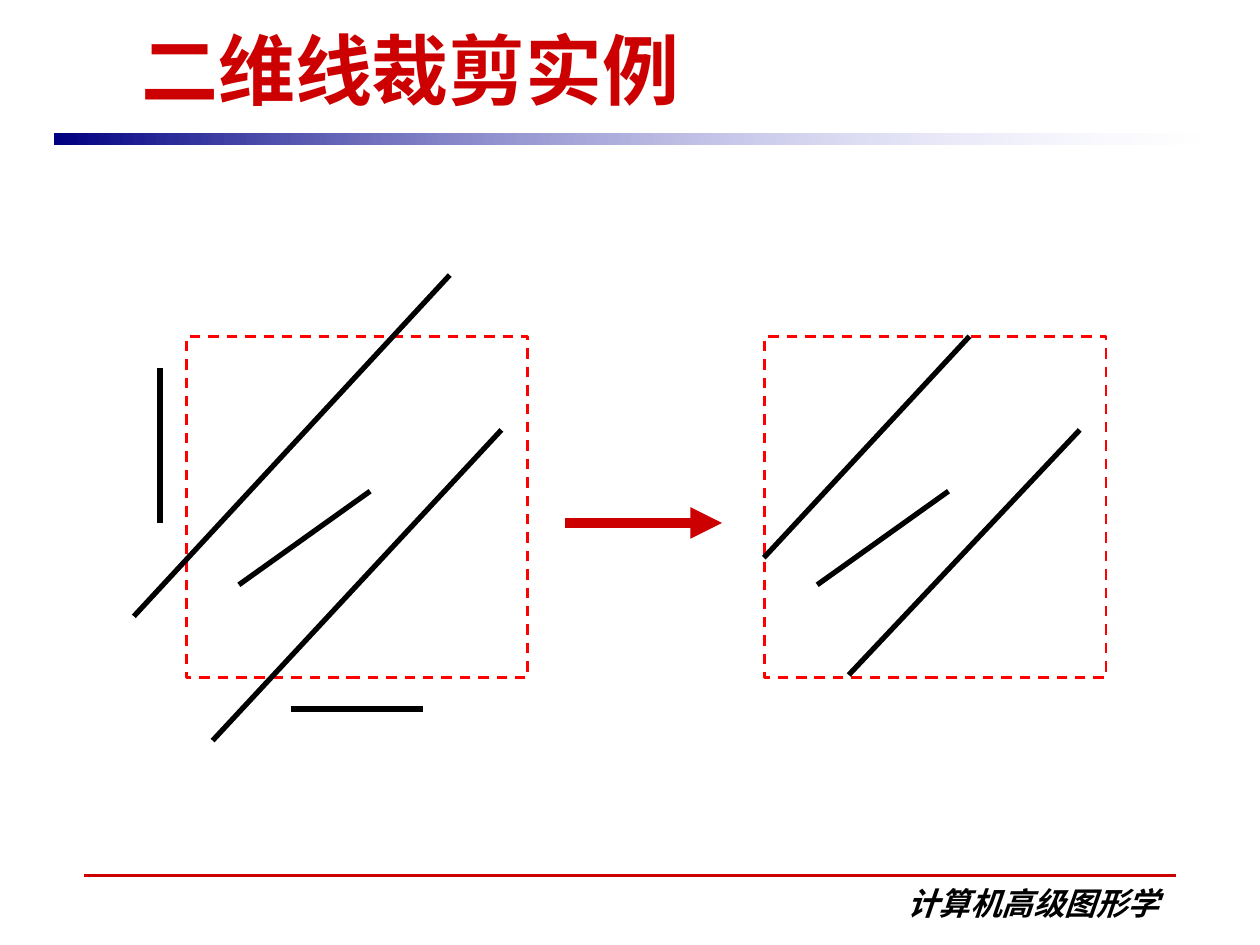
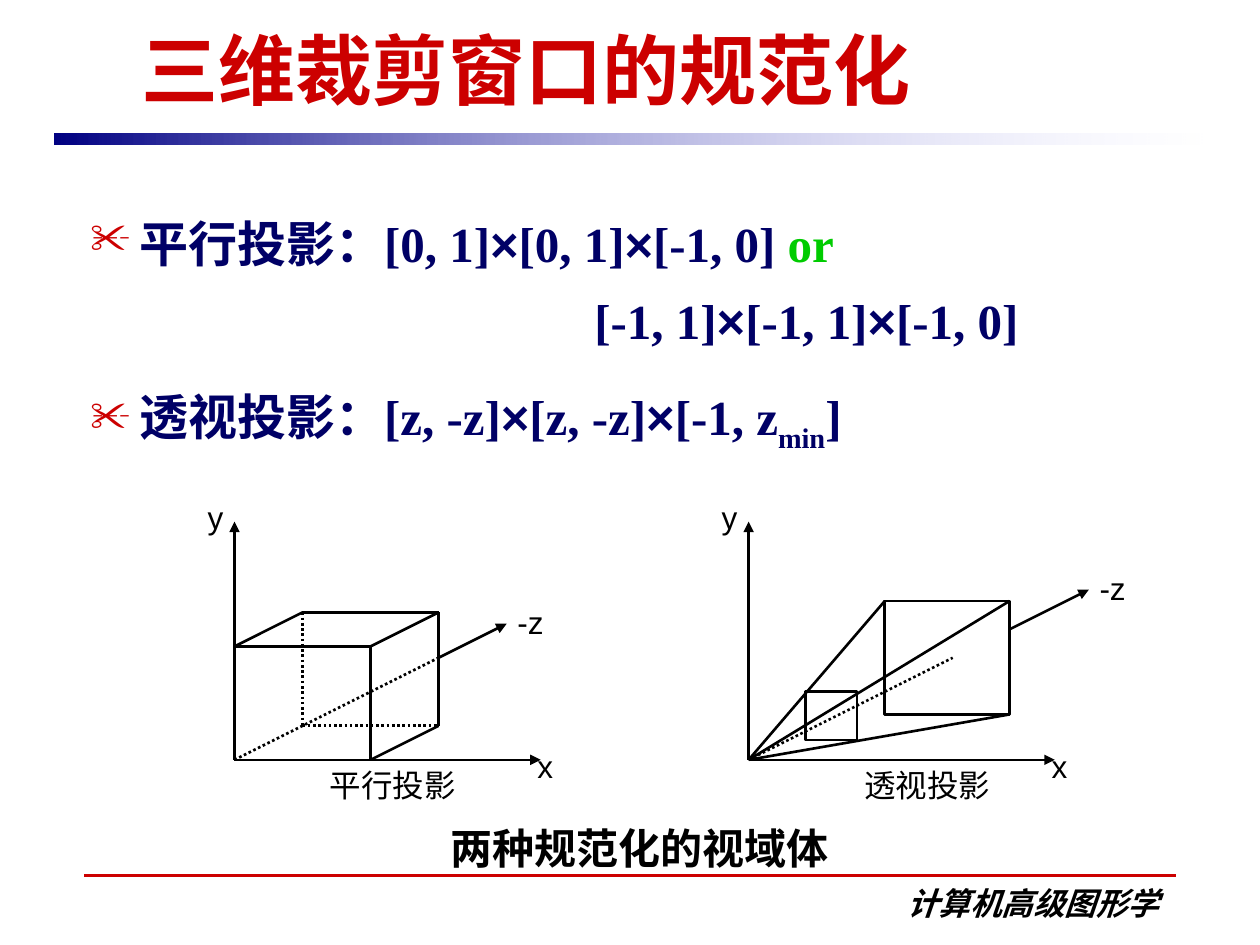
from pptx import Presentation
from pptx.dml.color import RGBColor
from pptx.enum.dml import MSO_LINE
from pptx.enum.shapes import MSO_CONNECTOR, MSO_SHAPE
from pptx.enum.text import MSO_ANCHOR, MSO_AUTO_SIZE, PP_ALIGN
from pptx.oxml.ns import qn
from pptx.util import Pt
from lxml.etree import SubElement

COLORS = {"red": "CC0000", "window": "FF0000", "black": "000000",
          "navy": "000066", "green": "00CC00",
          "band_start": "000082", "band_end": "CCCCFF"}
LATIN, SANS, CJK = "Times New Roman", "Arial", "Noto Sans CJK SC"
GRID = 6.48  # points per unit of the projection drawings


def rgb(name):
    return RGBColor.from_string(COLORS[name])


class Deck:
    def __init__(self):
        self.prs = Presentation()
        self.prs.slide_width, self.prs.slide_height = Pt(720), Pt(540)
        self.slide = None

    def new_slide(self, heading):
        self.slide = self.prs.slides.add_slide(self.prs.slide_layouts[5])
        self.line((48.2, 500.4), (671.8, 500.4), 1.75, "red")
        self.band()
        self.text("计算机高级图形学", 473.8, 501.8, 195.8, 28.8, font=CJK,
                  bold=True, italic=True, align=PP_ALIGN.RIGHT, wrap=True)
        title = self.slide.shapes.title
        title.left, title.top, title.width, title.height = (
            Pt(v) for v in (73.4, 9.4, 601.2, 59.8))
        frame = title.text_frame
        frame.text = heading
        frame.vertical_anchor = MSO_ANCHOR.BOTTOM
        frame.auto_size = MSO_AUTO_SIZE.SHAPE_TO_FIT_TEXT
        frame.paragraphs[0].alignment = PP_ALIGN.LEFT
        self.style(frame.paragraphs[0], 44, LATIN, "red", True)

    def style(self, paragraph, size, font, color, bold=False, italic=False):
        look = paragraph.font
        look.size, look.name, look.bold, look.italic = Pt(size), font, bold, italic
        look.color.rgb = rgb(color)
        defaults = paragraph._p.pPr.find(qn("a:defRPr"))
        SubElement(defaults, qn("a:ea"), typeface=CJK)

    def rect(self, left, top, width, height):
        shape = self.slide.shapes.add_shape(
            MSO_SHAPE.RECTANGLE, Pt(left), Pt(top), Pt(width), Pt(height))
        shape.shadow.inherit = False
        shape.fill.background()
        return shape

    def band(self):
        """Title rule that fades out to the right."""
        band = self.rect(31, 76.3, 658, 6.5)
        band.line.fill.background()
        band.fill.gradient()
        band.fill.gradient_angle = 0
        for stop, name in zip(band.fill.gradient_stops, ("band_start", "band_end")):
            stop.color.rgb = rgb(name)
        end_color = list(band._element.spPr.iter(qn("a:srgbClr")))[-1]
        SubElement(end_color, qn("a:alpha"), val="0")

    def outline(self, left, top, width, height, color="black", dash=None):
        shape = self.rect(left, top, width, height)
        shape.line.color.rgb = rgb(color)
        shape.line.width = Pt(1.5)
        shape.line.dash_style = dash

    def line(self, start, end, width=1.5, color="black", dash=None, arrow=False):
        line = self.slide.shapes.add_connector(
            MSO_CONNECTOR.STRAIGHT, *(Pt(v) for v in (*start, *end)))
        line.line.color.rgb = rgb(color)
        line.line.width = Pt(width)
        line.line.dash_style = dash
        if arrow:
            SubElement(line.line._get_or_add_ln(), qn("a:tailEnd"), type="triangle")
        SubElement(line._element.spPr, qn("a:effectLst"))

    def text(self, words, left, top, width, height=28.8, size=18, font=SANS,
             bold=False, italic=False, align=PP_ALIGN.LEFT, wrap=False):
        frame = self.slide.shapes.add_textbox(
            Pt(left), Pt(top), Pt(width), Pt(height)).text_frame
        frame.word_wrap = wrap
        frame.auto_size = MSO_AUTO_SIZE.SHAPE_TO_FIT_TEXT
        paragraph = frame.paragraphs[0]
        paragraph.text = words
        paragraph.alignment = align
        self.style(paragraph, size, font, "black", bold, italic)

    def formulas(self, rows, left, top, width, height):
        """Rows of (pieces split by |, has bullet, left indent, line spacing, space before)."""
        frame = self.slide.shapes.add_textbox(
            Pt(left), Pt(top), Pt(width), Pt(height)).text_frame
        frame.word_wrap = True
        for i, (pieces, bullet, indent, spacing, before) in enumerate(rows):
            paragraph = frame.add_paragraph() if i else frame.paragraphs[0]
            props = paragraph._p.get_or_add_pPr()
            props.set("marL", str(Pt(indent)))
            if bullet:
                props.set("indent", str(-Pt(indent)))
                SubElement(SubElement(props, qn("a:buClr")), qn("a:srgbClr"),
                           val=COLORS["red"])
                SubElement(props, qn("a:buSzPct"), val="85000")
                SubElement(props, qn("a:buChar"), char="✂")
            paragraph.line_spacing = spacing
            if before:
                paragraph.space_before = Pt(before)
            self.style(paragraph, 28, LATIN, "navy", True)
            for piece in pieces.split("|"):
                run = paragraph.add_run()
                run.text = piece
                if piece == "×":
                    run.font.name = SANS
                elif piece == "or":
                    run.font.color.rgb = rgb("green")
                elif piece == "min":
                    run.font._element.set("baseline", "-25000")

    def clip_window(self, left, segments):
        """Dashed window with segments given relative to its top left corner."""
        top = 192.2
        self.outline(left, top, 195, 195, "window", MSO_LINE.DASH)
        for x1, y1, x2, y2 in segments:
            self.line((left + x1, top + y1), (left + x2, top + y2), 3)

    def view_volume(self, origin_x, caption, caption_dx, z_axis, hidden, edges, faces=()):
        """Axes and a solid, in grid units that count up and right from the origin."""
        origin_y = 434.2

        def at(x, y):
            return origin_x + x * GRID, origin_y - y * GRID

        def draw(segments, **look):
            for x1, y1, x2, y2 in segments:
                self.line(at(x1, y1), at(x2, y2), **look)

        draw([(0, 0, 0, 21), (0, 0, 27, 0), z_axis], arrow=True)
        draw(hidden, dash=MSO_LINE.ROUND_DOT)
        draw(edges)
        for x, y, width, height in faces:
            self.outline(*at(x, y), width * GRID, height * GRID)
        z_x, z_y = at(*z_axis[2:])
        self.text("y", origin_x - 22.5, origin_y - 153.4, 23)
        self.text("x", origin_x + 166, origin_y - 10.8, 23)
        self.text("-z", z_x - 1, z_y - 15.5, 29.5)
        self.text(caption, origin_x + caption_dx, origin_y, 86.4)


def clipping_example(deck):
    deck.new_slide("二维线裁剪实例")
    inside = (30, 142, 105, 88.5)
    deck.clip_window(106.5, [(-30, 160, 150.5, -35), (-15, 106.5, -15, 18),
                             (60, 213, 135.5, 213), inside,
                             (180, 53.5, 15, 231)])
    deck.clip_window(437, [(-0.5, 126.5, 117, 0), inside, (180, 53.5, 48, 193.5)])
    deck.line((322.8, 298.8), (412.6, 298.8), 6, "red", arrow=True)


def normalized_windows(deck):
    deck.new_slide("三维裁剪窗口的规范化")
    deck.formulas([
        ("平行投影：[0, 1]|×|[0, 1]|×|[-1, 0] |or", True, 28, 1.2, 0),
        ("[-1, 1]|×|[-1, 1]|×|[-1, 0]", False, 288, 1.1, 7),
        ("透视投影：[z, -z]|×|[z, -z]|×|[-1, z|min|]", True, 28, 1.2, 14),
    ], 44.6, 111.6, 630, 151.2)
    deck.view_volume(
        134, "平行投影", 47.5, (18, 9, 24, 12),
        hidden=[(6, 13, 6, 3), (6, 3, 18, 3), (0, 0, 18, 9)],
        edges=[(0, 10, 12, 10), (12, 10, 12, 0), (0, 10, 6, 13), (6, 13, 18, 13),
               (12, 10, 18, 13), (18, 13, 18, 3), (12, 0, 18, 3)])
    deck.view_volume(
        427.8, "透视投影", 59, (23, 11.5, 30, 15),
        hidden=[(0, 0, 18, 9)],
        edges=[(0, 0, 12, 14), (0, 0, 23, 14), (0, 0, 23, 4)],
        faces=[(5, 6, 4.55, 4.25), (12, 14, 11, 10)])
    deck.text("两种规范化的视域体", 250.6, 466.6, 230.4, 36, size=24, bold=True)


def main():
    deck = Deck()
    clipping_example(deck)
    normalized_windows(deck)
    deck.prs.save("out.pptx")


if __name__ == "__main__":
    main()
